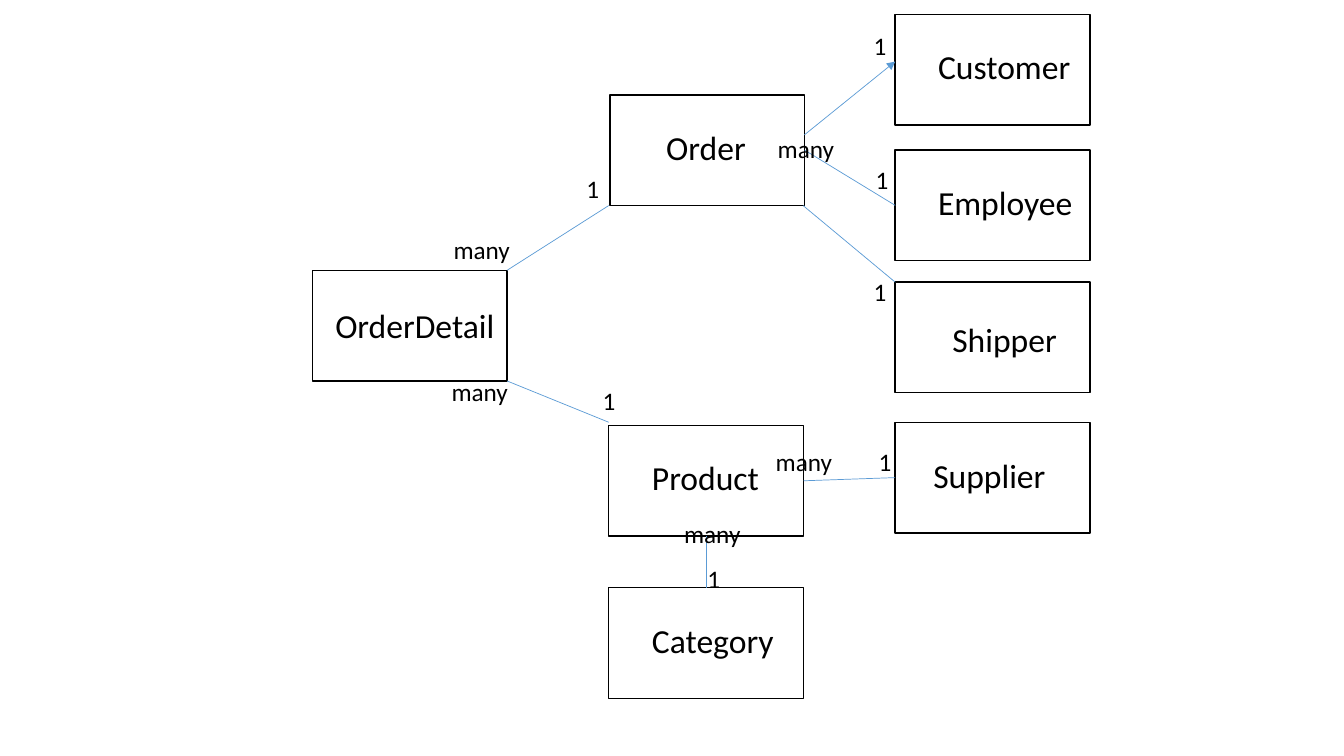
from lxml import etree
from pptx import Presentation
from pptx.dml.color import RGBColor
from pptx.enum.shapes import MSO_CONNECTOR, MSO_SHAPE
from pptx.enum.text import MSO_AUTO_SIZE
from pptx.oxml.ns import qn
from pptx.util import Cm, Pt

RECTANGLE = MSO_SHAPE.RECTANGLE
STRAIGHT = MSO_CONNECTOR.STRAIGHT
GROW = MSO_AUTO_SIZE.SHAPE_TO_FIT_TEXT
TOP, LEFT, BOTTOM, RIGHT = range(4)

BOX_W, BOX_H = 4.91, 2.79
COL_DETAIL, COL_ORDER, COL_PARTY = 7.87, 15.34, 22.56

# entity: box left, box top, name left, name top, name width
ENTITIES = {
    "Customer": (COL_PARTY, 0.36, 23.39, 1.04, 3.89),
    "Category": (COL_ORDER, 14.81, 16.18, 15.49, 3.61),
    "Employee": (COL_PARTY, 3.78, 23.39, 4.47, 3.94),
    "Product": (COL_ORDER, 10.72, 16.18, 11.4, 3.23),
    "OrderDetail": (COL_DETAIL, 6.81, 8.2, 7.57, 4.57),
    "Order": (COL_ORDER + 0.03, 2.39, 16.54, 3.07, 2.54),
    "Shipper": (COL_PARTY, 7.11, 23.75, 7.92, 3.18),
    "Supplier": (COL_PARTY, 10.64, 23.27, 11.33, 3.38),
}

# lines that join the middles of two sides
JOINED = [
    ("Order", RIGHT, "Employee", LEFT),
    ("Category", TOP, "Product", BOTTOM),
    ("Product", RIGHT, "Supplier", LEFT),
]

# lines that run between corners or other points: x1, y1, x2, y2
FREE = {
    "Order-Customer": (20.27, 3.4, 22.56, 1.55),
    "Order-Shipper": (20.24, 5.18, 22.56, 7.11),
    "Order-OrderDetail": (15.34, 5.18, 12.78, 6.81),
    "OrderDetail-Product": (12.78, 9.6, 15.34, 10.64),
}

# cardinality: label width and positions
CARDINALITIES = {
    "1": (0.84, [(21.77, 0.64), (21.82, 4.01), (21.77, 6.83), (14.53, 4.24),
                 (14.94, 9.58), (17.58, 14.07), (21.89, 11.13)]),
    "many": (1.96, [(19.35, 3.23), (16.99, 12.93), (11.13, 9.35),
                    (19.3, 11.13), (11.18, 5.77)]),
}


def rgb(value):
    return RGBColor.from_string(value)


def add_label(text, x, y, w, h, size):
    tf = s.shapes.add_textbox(Cm(x), Cm(y), Cm(w), Cm(h)).text_frame
    tf.word_wrap = False
    tf.auto_size = GROW
    r = tf.paragraphs[0].add_run()
    r.text = text
    for name, value in {"name": "Calibri", "size": Pt(size)}.items():
        setattr(r.font, name, value)
    r.font.color.rgb = rgb("000000")


prs = Presentation()
prs.slide_width, prs.slide_height = Cm(33.87), Cm(19.05)
s = prs.slides.add_slide(prs.slide_layouts[6])

boxes = {}
for name, (x, y, name_x, name_y, name_w) in ENTITIES.items():
    sp = s.shapes.add_shape(RECTANGLE, Cm(x), Cm(y), Cm(BOX_W), Cm(BOX_H))
    sp.shadow.inherit = False
    sp.fill.solid()
    sp.fill.fore_color.rgb = rgb("FFFFFF")
    sp.line.color.rgb = rgb("000000")
    sp.line.width = Pt(1)
    boxes[name] = sp
    add_label(name, name_x, name_y, name_w, 1.27, 24)

lines = {}
for name, ends in FREE.items():
    lines[name] = s.shapes.add_connector(STRAIGHT, *map(Cm, ends))
for start, start_side, end, end_side in JOINED:
    line = s.shapes.add_connector(STRAIGHT, 0, 0, 0, 0)
    line.begin_connect(boxes[start], start_side)
    line.end_connect(boxes[end], end_side)
    lines[f"{start}-{end}"] = line

for name, line in lines.items():
    line.line.color.rgb = rgb("5B9BD5")
    line.line.width = Pt(0.5)
    if name == "Order-Customer":
        etree.SubElement(line.line._get_or_add_ln(), qn("a:tailEnd"), type="triangle")
    etree.SubElement(line._element.spPr, qn("a:effectLst"))

for text, (w, places) in CARDINALITIES.items():
    for x, y in places:
        add_label(text, x, y, w, 1.02, 18)

prs.save("out.pptx")
